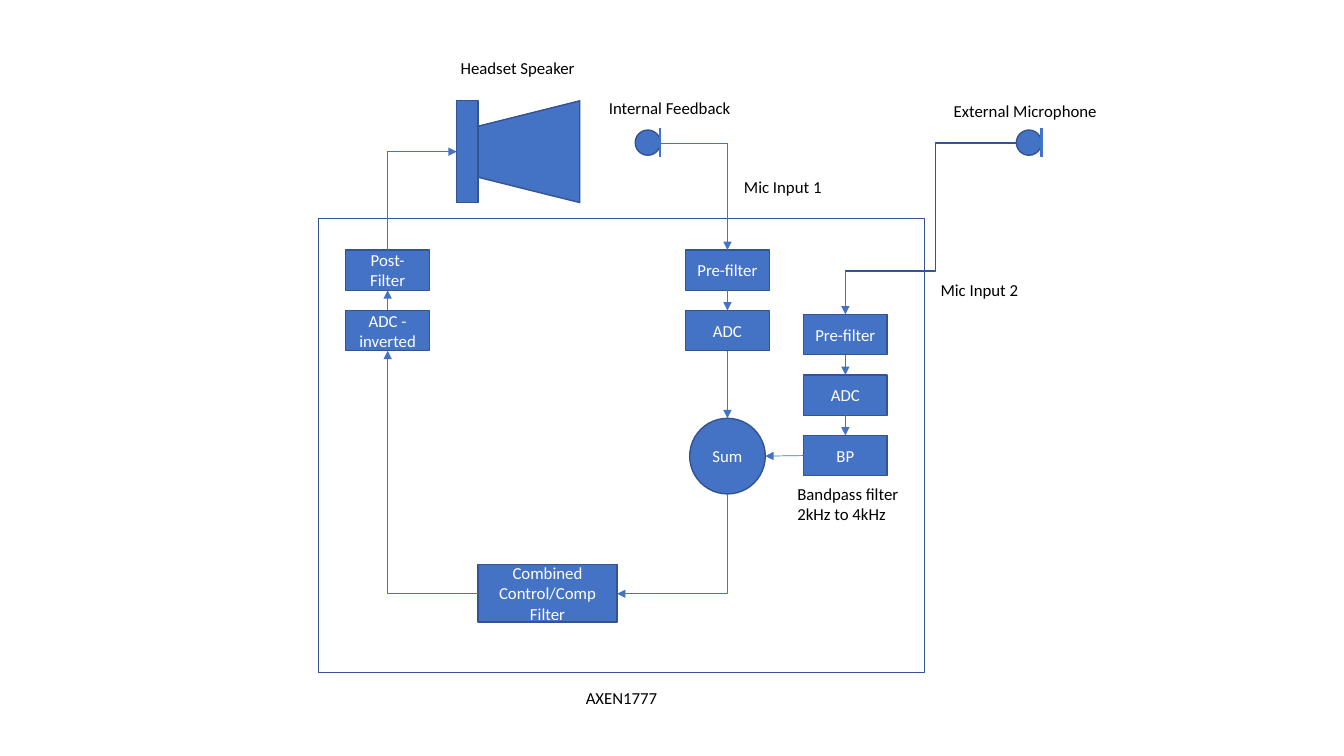
"""Build a block diagram of a noise-cancelling headset's audio path."""
import pptx
import pptx.dml.color
import pptx.enum.shapes
import pptx.enum.text
import pptx.util
import lxml.etree
from pptx.oxml.ns import qn

Inches = pptx.util.Inches
Point = pptx.util.Pt
Preset = pptx.enum.shapes.MSO_SHAPE
Wire = pptx.enum.shapes.MSO_CONNECTOR
Align = pptx.enum.text.PP_ALIGN
BLUE = pptx.dml.color.RGBColor(0x44, 0x72, 0xC4)
OUTLINE = pptx.dml.color.RGBColor(0x32, 0x54, 0x91)
BLACK = pptx.dml.color.RGBColor(0, 0, 0)
WHITE = pptx.dml.color.RGBColor(0xFF, 0xFF, 0xFF)

STAGE_WIDTH, STAGE_HEIGHT, STAGE_PITCH = 0.83, 0.4, 0.6
OUTPUT_LEFT, INTERNAL_LEFT, EXTERNAL_LEFT = 3.43, 6.8, 7.97
INNER_TOP, EXTERNAL_TOP = 2.48, 3.12
OUTPUT_X, INTERNAL_X, EXTERNAL_X = (
    left + STAGE_WIDTH / 2 for left in (OUTPUT_LEFT, INTERNAL_LEFT, EXTERNAL_LEFT))
MIC_SIZE, MIC_TOP, MIC_Y = 0.25, 1.29, 1.42
INTERNAL_MIC_LEFT, EXTERNAL_MIC_LEFT = 6.3, 10.08
SUM_SIZE, SUM_TOP = 0.75, 4.15
SUM_BOTTOM = SUM_TOP + SUM_SIZE
SUM_Y = SUM_TOP + SUM_SIZE / 2
SPEAKER_TOP, SPEAKER_SIZE, PLATE_LEFT, PLATE_WIDTH = 1, 1.01, 4.53, 0.21
SPEAKER_Y = SPEAKER_TOP + SPEAKER_SIZE / 2
COMBINER_LEFT, COMBINER_WIDTH, COMBINER_Y = 4.74, 1.38, 5.89
COMBINER_RIGHT = COMBINER_LEFT + COMBINER_WIDTH


def write(shape, text, color, align):
    """Put one styled run of text into a shape."""
    shape.text_frame.word_wrap = True
    para = shape.text_frame.paragraphs[0]
    para.alignment = align
    span = para.add_run()
    span.text = text
    span.font.name = "Calibri"
    span.font.size = Point(12)
    span.font.color.rgb = color


def add_wire(shapes, kind, start, end, width=0.5, arrow=True):
    """Add a flat connector, with an arrowhead if wanted."""
    wire = shapes.add_connector(kind, *(Inches(value) for value in start + end))
    wire.line.color.rgb = BLUE
    wire.line.width = Point(width)
    properties = wire._element.spPr
    if arrow:
        lxml.etree.SubElement(properties.find(qn("a:ln")), qn("a:tailEnd"), type="triangle")
    lxml.etree.SubElement(properties, qn("a:effectLst"))
    return wire


deck = pptx.Presentation()
deck.slide_width, deck.slide_height = Inches(13.33), Inches(7.5)
page = deck.slides.add_slide(deck.slide_layouts[6])
canvas = page.shapes
speaker, internal_mic, external_mic = (canvas.add_group_shape().shapes for group in range(3))

parts = [
    ("chip", canvas, Preset.RECTANGLE, 3.16, 2.17, 6.01, 4.5, ""),
    ("horn", speaker, Preset.TRAPEZOID, PLATE_LEFT + PLATE_WIDTH, SPEAKER_TOP,
     SPEAKER_SIZE, SPEAKER_SIZE, ""),
    ("plate", speaker, Preset.RECTANGLE, PLATE_LEFT, SPEAKER_TOP, PLATE_WIDTH, SPEAKER_SIZE, ""),
    ("internal mic", internal_mic, Preset.OVAL, INTERNAL_MIC_LEFT, MIC_TOP, MIC_SIZE, MIC_SIZE, ""),
    ("external mic", external_mic, Preset.OVAL, EXTERNAL_MIC_LEFT, MIC_TOP, MIC_SIZE, MIC_SIZE, ""),
    ("sum", canvas, Preset.OVAL, INTERNAL_X - SUM_SIZE / 2, SUM_TOP, SUM_SIZE, SUM_SIZE, "Sum"),
    ("combiner", canvas, Preset.RECTANGLE, COMBINER_LEFT, 5.6, COMBINER_WIDTH, 0.57,
     "Combined Control/Comp Filter"),
]
columns = [
    ("output", OUTPUT_LEFT, INNER_TOP, ["Post-Filter", "ADC - inverted"]),
    ("internal", INTERNAL_LEFT, INNER_TOP, ["Pre-filter", "ADC"]),
    ("external", EXTERNAL_LEFT, EXTERNAL_TOP, ["Pre-filter", "ADC", "BP"]),
]
for column, left, top, stages in columns:
    for row, stage in enumerate(stages):
        parts.append((f"{column} {row}", canvas, Preset.RECTANGLE, left,
                      top + row * STAGE_PITCH, STAGE_WIDTH, STAGE_HEIGHT, stage))

boxes = {}
for name, shapes, preset, left, top, width, height, text in parts:
    box = shapes.add_shape(preset, Inches(left), Inches(top), Inches(width), Inches(height))
    box.shadow.inherit = False
    box.fill.solid()
    box.fill.fore_color.rgb = BLUE
    box.line.color.rgb = OUTLINE
    box.line.width = Point(1)
    if text:
        box.text_frame.vertical_anchor = pptx.enum.text.MSO_ANCHOR.MIDDLE
        write(box, text, WHITE, Align.CENTER)
    boxes[name] = box
boxes["chip"].fill.background()
boxes["horn"].rotation = 270

for shapes, left in [(internal_mic, INTERNAL_MIC_LEFT), (external_mic, EXTERNAL_MIC_LEFT)]:
    edge = left + MIC_SIZE
    add_wire(shapes, Wire.STRAIGHT, (edge, 1.56), (edge, 1.27), 1.5, False)

add_wire(canvas, Wire.STRAIGHT, (INTERNAL_MIC_LEFT + MIC_SIZE, MIC_Y), (INTERNAL_X, MIC_Y),
         arrow=False)

outline = canvas.build_freeform(Inches(EXTERNAL_MIC_LEFT), Inches(MIC_Y), scale=1.0)
outline.add_line_segments([(Inches(x), Inches(y)) for x, y in
                           [(9.28, MIC_Y), (9.28, 2.69), (EXTERNAL_X, 2.69)]], close=False)
mic_lead = outline.convert_to_shape()
mic_lead.shadow.inherit = False
mic_lead.fill.background()
mic_lead.line.color.rgb = OUTLINE
mic_lead.line.width = Point(1)

TOP, LEFT, BOTTOM = 0, 1, 2
straight_wires = [
    ((INTERNAL_X, MIC_Y), None, None, "internal 0", TOP),
    ((INTERNAL_X, INNER_TOP), "internal 0", BOTTOM, "internal 1", TOP),
    ((INTERNAL_X, INNER_TOP), "internal 1", BOTTOM, "sum", TOP),
    ((OUTPUT_X, INNER_TOP), "output 1", TOP, "output 0", BOTTOM),
    ((EXTERNAL_X, 2.69), None, None, "external 0", TOP),
    ((EXTERNAL_X, EXTERNAL_TOP), "external 0", BOTTOM, "external 1", TOP),
    ((EXTERNAL_X, EXTERNAL_TOP), "external 1", BOTTOM, "external 2", TOP),
    ((INTERNAL_X + SUM_SIZE / 2, SUM_Y), "external 2", LEFT, None, None),
]
for point, source, source_side, target, target_side in straight_wires:
    wire = add_wire(canvas, Wire.STRAIGHT, point, point)
    if source:
        wire.begin_connect(boxes[source], source_side)
    if target:
        wire.end_connect(boxes[target], target_side)

bent_wires = [
    ((OUTPUT_X, INNER_TOP), (PLATE_LEFT, SPEAKER_Y), 90, True),
    ((INTERNAL_X, SUM_BOTTOM), (COMBINER_RIGHT, COMBINER_Y), 90, False),
    ((COMBINER_LEFT, COMBINER_Y), (OUTPUT_X, INNER_TOP + STAGE_PITCH + STAGE_HEIGHT), 180, False),
]
for start, end, angle, flipped in bent_wires:
    width, height = abs(end[0] - start[0]), abs(end[1] - start[1])
    if angle == 90:
        width, height = height, width
    middle_x, middle_y = (start[0] + end[0]) / 2, (start[1] + end[1]) / 2
    corners = [(middle_x - width / 2, middle_y - height / 2),
               (middle_x + width / 2, middle_y + height / 2)]
    if flipped:
        corners.reverse()
    wire = add_wire(canvas, Wire.ELBOW, *corners)
    properties = wire._element.spPr
    properties.find(qn("a:prstGeom")).set("prst", "bentConnector2")
    properties.find(qn("a:xfrm")).set("rot", str(angle * 60000))

labels = [
    ("Headset Speaker", 4.47, 0.52, 1.47, 0.3, Align.LEFT),
    ("Internal Feedback", 5.94, 0.92, 1.47, 0.3, Align.LEFT),
    ("External Microphone", 9.36, 0.95, 1.68, 0.3, Align.LEFT),
    ("Mic Input 1", 7.28, 1.7, 1.02, 0.3, Align.LEFT),
    ("Mic Input 2", 9.23, 2.73, 1.02, 0.3, Align.LEFT),
    ("Bandpass filter 2kHz to 4kHz", 7.81, 4.75, 1.24, 0.5, Align.LEFT),
    ("AXEN1777", 5.43, 6.77, 1.47, 0.3, Align.CENTER),
]
for text, left, top, width, height, align in labels:
    label = canvas.add_textbox(Inches(left), Inches(top), Inches(width), Inches(height))
    label.text_frame.auto_size = pptx.enum.text.MSO_AUTO_SIZE.SHAPE_TO_FIT_TEXT
    write(label, text, BLACK, align)

deck.save("out.pptx")
